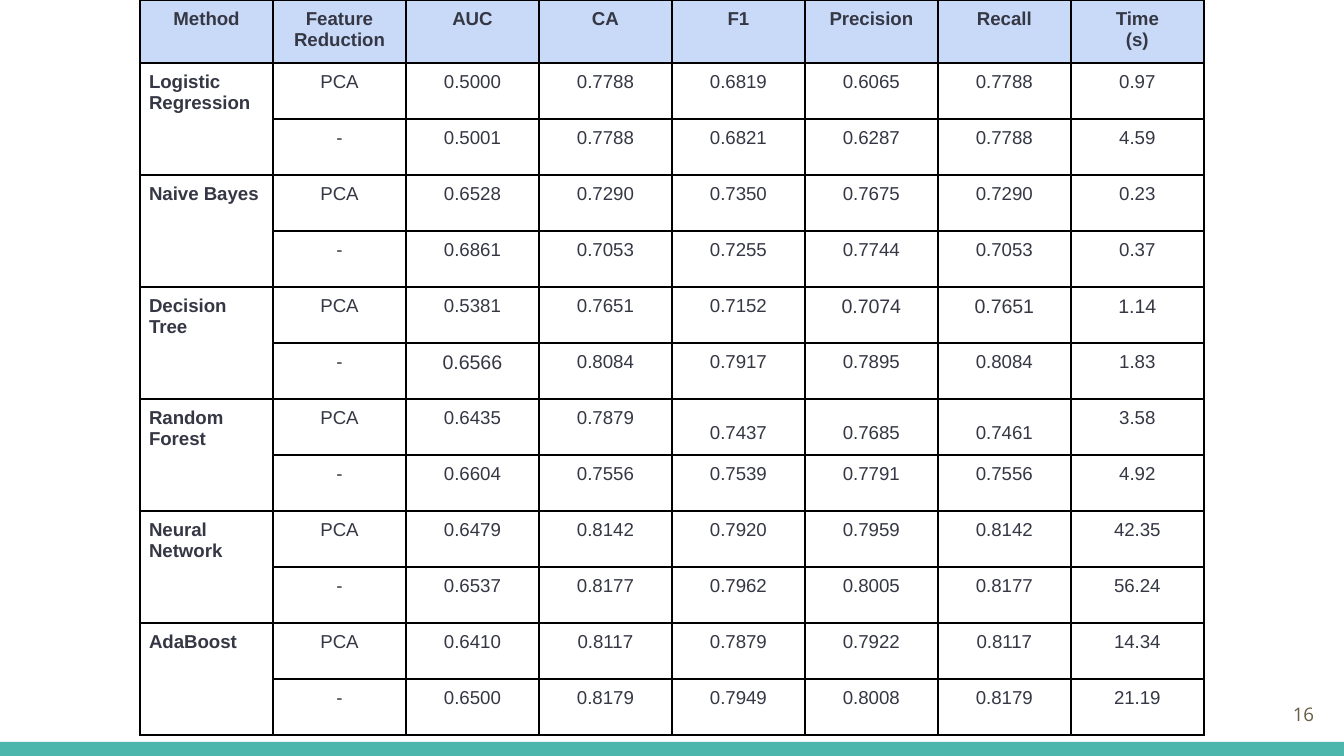
from typing import NamedTuple

from lxml.etree import SubElement
from pptx import Presentation
from pptx.dml.color import RGBColor
from pptx.enum.shapes import MSO_SHAPE
from pptx.enum.text import MSO_ANCHOR, PP_ALIGN
from pptx.oxml.ns import qn
from pptx.util import Emu, Pt

EMU_PER_PX = 9144000 / 1344
COLORS = {
    "bar": "4DB6AC",
    "header": "C9DAF8",
    "body": "FFFFFF",
    "border": "000000",
    "text": "353744",
    "page": "695D46",
}
MARGINS = ("margin_left", "margin_top", "margin_right", "margin_bottom")


class Box(NamedTuple):
    left: int
    top: int
    width: int
    height: int


class Style(NamedTuple):
    font: str = "Arial"
    size: float = 10
    bold: bool = False
    color: str = "text"
    align: PP_ALIGN = PP_ALIGN.CENTER
    spacing: float = 1.0


class Method(NamedTuple):
    name: str
    pca: str
    full: str


BAR = Box(0, 742, 1344, 14)
PAGE_NUMBER = Box(1246, 685, 81, 58)
TABLE = Box(140, 0, 1064, 732)
HEADER_HEIGHT, ROW_HEIGHT = 60, 56

HEADERS = ["Method", "Feature Reduction", "AUC", "CA", "F1", "Precision", "Recall", "Time\n(s)"]
METHODS = [
    Method("Logistic Regression",
           "0.5000 0.7788 0.6819 0.6065 0.7788 0.97",
           "0.5001 0.7788 0.6821 0.6287 0.7788 4.59"),
    Method("Naive Bayes",
           "0.6528 0.7290 0.7350 0.7675 0.7290 0.23",
           "0.6861 0.7053 0.7255 0.7744 0.7053 0.37"),
    Method("Decision Tree",
           "0.5381 0.7651 0.7152 0.7074 0.7651 1.14",
           "0.6566 0.8084 0.7917 0.7895 0.8084 1.83"),
    Method("Random Forest",
           "0.6435 0.7879 0.7437 0.7685 0.7461 3.58",
           "0.6604 0.7556 0.7539 0.7791 0.7556 4.92"),
    Method("Neural Network",
           "0.6479 0.8142 0.7920 0.7959 0.8142 42.35",
           "0.6537 0.8177 0.7962 0.8005 0.8177 56.24"),
    Method("AdaBoost",
           "0.6410 0.8117 0.7879 0.7922 0.8117 14.34",
           "0.6500 0.8179 0.7949 0.8008 0.8179 21.19"),
]

HEADER = Style(bold=True)
NAME = Style(bold=True, align=PP_ALIGN.LEFT)
VALUE = Style()
LARGE = Style(size=10.5)
LOWERED = Style(spacing=1.7)
SPECIAL = {
    (5, 5): LARGE, (5, 6): LARGE, (5, 7): LARGE, (6, 2): LARGE,
    (7, 4): LOWERED, (7, 5): LOWERED, (7, 6): LOWERED,
}


def px(n: int) -> Emu:
    return Emu(round(n * EMU_PER_PX))


def place(box: Box) -> list[Emu]:
    return [px(n) for n in box]


def rgb(name: str) -> RGBColor:
    return RGBColor.from_string(COLORS[name])


def set_margins(target, margin: int) -> None:
    for name in MARGINS:
        setattr(target, name, px(margin))


def write(tf, text: str, style: Style) -> None:
    tf.word_wrap = True
    tf.text = text
    values = {"name": style.font, "size": Pt(style.size), "bold": style.bold}
    for p in tf.paragraphs:
        p.alignment = style.align
        p.line_spacing = style.spacing
        for r in p.runs:
            for key, value in values.items():
                setattr(r.font, key, value)
            r.font.color.rgb = rgb(style.color)


def add_borders(cell) -> None:
    tc_pr = cell._tc.get_or_add_tcPr()
    for side in ("a:lnL", "a:lnR", "a:lnT", "a:lnB"):
        ln = SubElement(tc_pr, qn(side), w=str(Pt(1)))
        fill = SubElement(ln, qn("a:solidFill"))
        SubElement(fill, qn("a:srgbClr"), val=COLORS["border"])


def format_cell(cell, fill: str) -> None:
    add_borders(cell)
    cell.fill.solid()
    cell.fill.fore_color.rgb = rgb(fill)
    cell.vertical_anchor = MSO_ANCHOR.TOP
    set_margins(cell, 9)


def add_bar(s) -> None:
    sp = s.shapes.add_shape(MSO_SHAPE.RECTANGLE, *place(BAR))
    sp.shadow.inherit = False
    sp.fill.solid()
    sp.fill.fore_color.rgb = rgb("bar")
    sp.line.fill.background()


def add_page_number(s, text: str) -> None:
    tf = s.shapes.add_textbox(*place(PAGE_NUMBER)).text_frame
    set_margins(tf, 13)
    tf.vertical_anchor = MSO_ANCHOR.MIDDLE
    write(tf, text, Style("Open Sans", color="page", align=PP_ALIGN.RIGHT))


def add_results(s) -> None:
    rows = [HEADERS]
    for method in METHODS:
        rows.append([method.name, "PCA", *method.pca.split()])
        rows.append(["", "-", *method.full.split()])
    table = s.shapes.add_table(len(rows), len(HEADERS), *place(TABLE)).table
    table.first_row = table.horz_banding = False
    for column in table.columns:
        column.width = px(TABLE.width // len(HEADERS))
    for i, row in enumerate(rows):
        table.rows[i].height = px(ROW_HEIGHT if i else HEADER_HEIGHT)
        for j, text in enumerate(row):
            cell = table.cell(i, j)
            format_cell(cell, "body" if i else "header")
            base = HEADER if i == 0 else NAME if j == 0 else VALUE
            if text:
                write(cell.text_frame, text, SPECIAL.get((i, j), base))
    for i in range(1, len(rows), 2):
        table.cell(i, 0).merge(table.cell(i + 1, 0))


def main() -> None:
    prs = Presentation()
    prs.slide_width, prs.slide_height = px(1344), px(756)
    s = prs.slides.add_slide(prs.slide_layouts[6])
    add_bar(s)
    add_page_number(s, "16")
    add_results(s)
    prs.save("out.pptx")


if __name__ == "__main__":
    main()
